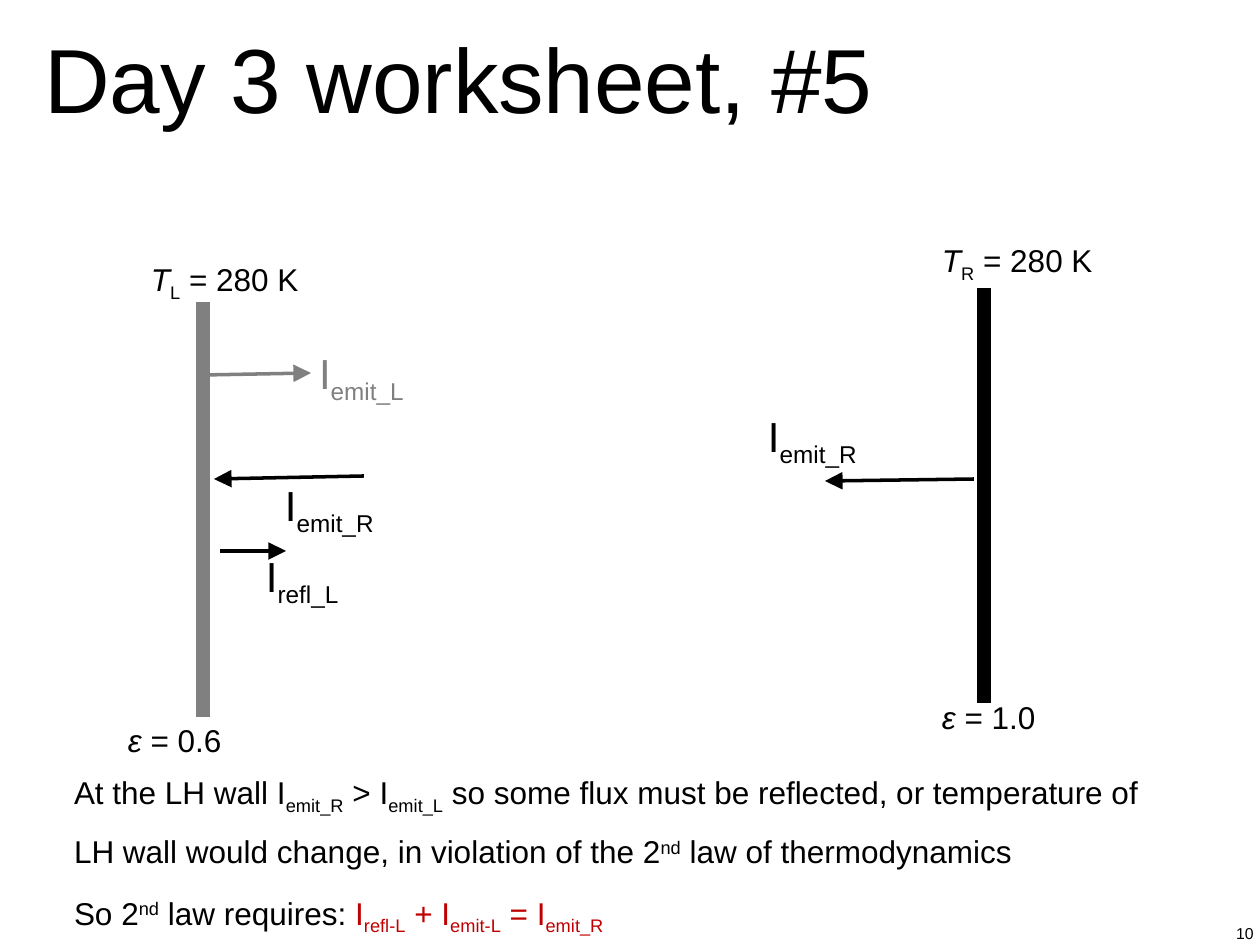
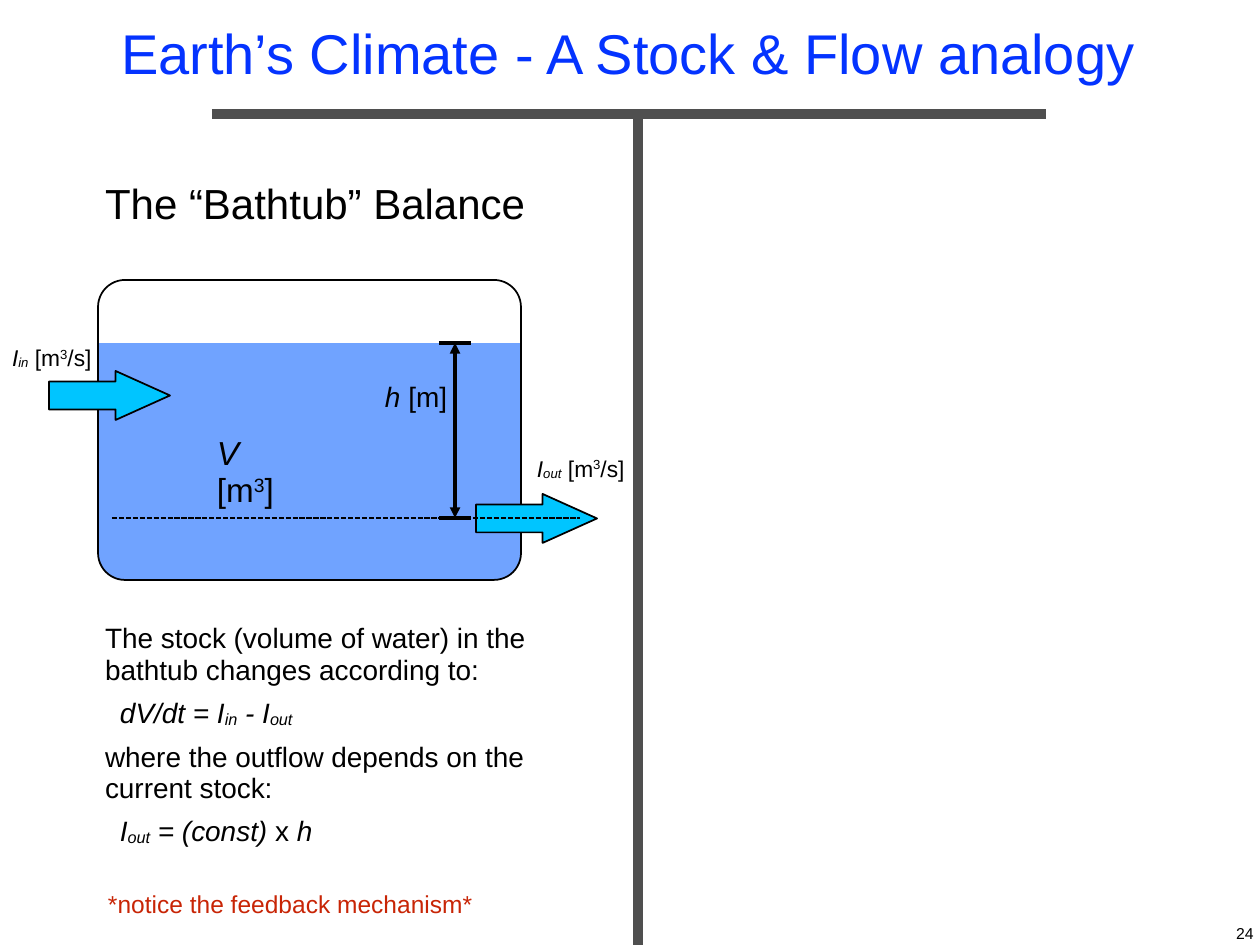
from dataclasses import dataclass

from lxml.etree import SubElement
from pptx import Presentation
from pptx.dml.color import RGBColor
from pptx.enum.dml import MSO_LINE
from pptx.enum.shapes import MSO_CONNECTOR, MSO_SHAPE
from pptx.enum.text import MSO_ANCHOR, MSO_AUTO_SIZE, PP_ALIGN
from pptx.oxml.ns import qn
from pptx.util import Emu, Pt

PX_PER_INCH = 126


@dataclass(frozen=True)
class Theme:
    font: str = "Arial"
    black: str = "000000"
    white: str = "FFFFFF"
    gray: str = "808080"
    divider: str = "4F4F4F"
    title_blue: str = "0433FF"
    water: str = "70A3FF"
    flow: str = "00C5FF"
    alert: str = "C00000"
    note: str = "C82506"
    worksheet_title: int = 52
    analogy_title: int = 32
    heading: int = 24
    volume: int = 19
    body: int = 18
    text: int = 16
    small: int = 14
    flow_label: int = 13
    number: int = 9
    line_spacing: float = 0.93


THEME = Theme()
BASELINES = {"sub": -25000, "low": -6000, "sup": 30000, "unit": 32000}


def px(length):
    return Emu(round(length * 914400 / PX_PER_INCH))


def rgb(color):
    return RGBColor.from_string(color)


def format_font(font, size, color):
    font.name, font.size = THEME.font, Pt(size)
    font.color.rgb = rgb(color)


def fill_paragraph(paragraph, parts, size, color):
    """Write parts: plain strings, or tuples of a string and its style names."""
    for part in parts:
        text, *styles = (part,) if isinstance(part, str) else part
        run = paragraph.add_run()
        run.text = text
        format_font(run.font, size, THEME.alert if "alert" in styles else color)
        run.font.italic = "italic" in styles
        for style in styles:
            if style in BASELINES:
                run._r.get_or_add_rPr().set("baseline", str(BASELINES[style]))


def set_insets(frame, horizontal, vertical):
    frame.margin_left = frame.margin_right = px(horizontal)
    frame.margin_top = frame.margin_bottom = px(vertical)


def add_text(shapes, box, paragraphs, size, color=THEME.black, wrap=True, insets=(7, 7),
             indents=(5,), gap=0, spacing=THEME.line_spacing, align=PP_ALIGN.LEFT):
    """Add a text box; indents are used in turn, paragraph by paragraph."""
    frame = shapes.add_textbox(*map(px, box)).text_frame
    frame.word_wrap = wrap
    frame.auto_size = MSO_AUTO_SIZE.SHAPE_TO_FIT_TEXT
    set_insets(frame, *insets)
    for index, parts in enumerate(paragraphs):
        paragraph = frame.add_paragraph() if index else frame.paragraphs[0]
        paragraph.alignment = align
        paragraph.line_spacing = spacing
        paragraph._p.get_or_add_pPr().set("marL", str(px(indents[index % len(indents)])))
        if index:
            paragraph.space_before = Pt(gap)
        fill_paragraph(paragraph, parts, size, color)


def add_line(shapes, start, end, width, color=THEME.black, heads=(), head_size="med", dash=None):
    line = shapes.add_connector(MSO_CONNECTOR.STRAIGHT, *map(px, (*start, *end)))
    line.line.width = Pt(width)
    line.line.color.rgb = rgb(color)
    if dash:
        line.line.dash_style = dash
    for head in heads:
        SubElement(line.line._get_or_add_ln(), qn(f"a:{head}"),
                   type="triangle", w=head_size, len=head_size)
    SubElement(line._element.spPr, qn("a:effectLst"))


def add_shape(shapes, kind, box, fill=None, outline=None, adjustments=()):
    shape = shapes.add_shape(kind, *map(px, box))
    shape.shadow.inherit = False
    if fill:
        shape.fill.solid()
        shape.fill.fore_color.rgb = rgb(fill)
    else:
        shape.fill.background()
    if outline:
        shape.line.color.rgb = rgb(outline)
        shape.line.width = Pt(1)
    else:
        shape.line.fill.background()
    for index, value in enumerate(adjustments):
        shape.adjustments[index] = value


def add_slide(presentation, title, box, size, color, align, anchor, inset, number):
    """Add a title-only slide with its title and slide number."""
    slide = presentation.slides.add_slide(presentation.slide_layouts[5])
    placeholder = slide.shapes.title
    placeholder.left, placeholder.top, placeholder.width, placeholder.height = map(px, box)
    frame = placeholder.text_frame
    frame.text = title
    frame.word_wrap = True
    frame.auto_size = MSO_AUTO_SIZE.NONE
    frame.vertical_anchor = anchor
    set_insets(frame, inset, inset)
    paragraph = frame.paragraphs[0]
    paragraph.alignment = align
    paragraph.line_spacing = THEME.line_spacing
    format_font(paragraph.runs[0].font, size, color)
    add_text(slide.shapes, (1230, 924, 30, 18), [[number]], THEME.number, insets=(0, 0),
             indents=(0,), spacing=1, align=PP_ALIGN.CENTER)
    return slide


def add_wall(shapes, left, top, color, side, emissivity, temperature_at, emissivity_at, fluxes):
    """Draw a wall from its top point; labels and fluxes are offsets from it."""
    add_line(shapes, (left, top), (left, top + 415), 8, color)

    def shift(point):
        return left + point[0], top + point[1]

    add_text(shapes, (*shift(temperature_at), 202, 49),
             [[("T", "italic"), (side, "sub"), " = 280 K"]], THEME.body)
    add_text(shapes, (*shift(emissivity_at), 202, 49),
             [[("ε ", "italic"), f"= {emissivity}"]], THEME.body)
    for name, start, end, label_at, label_width, flux_color in fluxes:
        add_line(shapes, shift(start), shift(end), 2, flux_color, ["tailEnd"], "lg")
        add_text(shapes, (*shift(label_at), label_width, 63), [["I", (name, "sub")]],
                 THEME.heading, flux_color, wrap=False, insets=(13, 6), indents=(0,), spacing=1)


def add_worksheet_slide(presentation):
    slide = add_slide(presentation, "Day 3 worksheet, #5", (39, 27, 1000, 113),
                      THEME.worksheet_title, THEME.black, PP_ALIGN.LEFT, MSO_ANCHOR.TOP, 5, "10")
    shapes = slide.shapes
    add_wall(shapes, 203, 302, THEME.gray, "L", "0.6", (-64, -49), (-87, 415), [
        ("emit_L", (1, 73), (108, 71), (103, 40), 122, THEME.gray),
        ("emit_R", (161, 174), (11, 177), (69, 172), 126, THEME.black),
        ("refl_L", (17, 249), (83, 249), (50, 243), 108, THEME.black),
    ])
    add_wall(shapes, 984, 288, THEME.black, "R", "1.0", (-54, -54), (-54, 406), [
        ("emit_R", (-10, 191), (-159, 193), (-229, 117), 126, THEME.black),
    ])
    add_text(shapes, (62, 766, 1139, 166), [
        ["At the LH wall I", ("emit_R", "sub"), " > I", ("emit_L", "sub"),
         " so some flux must be reflected, or temperature of"],
        ["LH wall would change, in violation of the 2", ("nd", "sup"), " law of thermodynamics"],
        ["So 2", ("nd", "sup"), " law requires: ", ("I", "alert"), ("refl-L", "sub", "alert"),
         (" + I", "alert"), ("emit-L", "sub", "alert"), (" = I", "alert"),
         ("emit_R", "sub", "alert")],
    ], THEME.body, gap=13)


def add_bathtub(shapes, left, top):
    """Draw the tub with its flows; all places are offsets from its top left corner."""
    def at(x, y, *size):
        return left + x, top + y, *size

    width, height, surface, outlet = 423, 300, 63, 238
    add_shape(shapes, MSO_SHAPE.ROUNDED_RECTANGLE, at(0, 35, width, height - 35),
              THEME.water, adjustments=[0.1])
    add_shape(shapes, MSO_SHAPE.RECTANGLE, at(-35, -51, 508, surface + 51), THEME.white)
    add_shape(shapes, MSO_SHAPE.ROUNDED_RECTANGLE, at(0, 0, width, height),
              outline=THEME.black, adjustments=[0.09])
    flows = [("in", (-49, 91), (-98, 59, 105, 39)),
             ("out", (378, 214), (427, 170, 115, 39))]
    for name, arrow_at, label_box in flows:
        add_shape(shapes, MSO_SHAPE.RIGHT_ARROW, at(*arrow_at, 121, 49),
                  THEME.flow, THEME.black, [0.57, 1.11])
        add_text(shapes, at(*label_box),
                 [[("I", "italic"), (name, "italic", "low"), " [m", ("3", "unit"), "/s]"]],
                 THEME.flow_label, wrap=False)
    add_text(shapes, at(107, 149, 90, 90),
             [[("V ", "italic"), "[m", ("3", "unit"), "]"]], THEME.volume)
    add_text(shapes, at(275, 95, 95, 44), [[("h ", "italic"), "[m]"]], THEME.text)
    add_line(shapes, at(357, outlet), at(357, surface), 2, heads=["headEnd", "tailEnd"])
    for level in (surface, outlet):
        add_line(shapes, at(341, level), at(373, level), 2)
    add_line(shapes, at(14, outlet), at(482, outlet), 1, dash=MSO_LINE.SQUARE_DOT)


def add_balance_text(shapes, left, top, width):
    add_text(shapes, (left, top, width, 62), [["The “Bathtub” Balance"]], THEME.heading)
    add_text(shapes, (left, top + 442, width, 229), [
        ["The stock (volume of water) in the bathtub changes according to:"],
        [("dV/dt = I", "italic"), ("in", "italic", "low"), (" - I", "italic"),
         ("out", "italic", "low")],
        ["where the outflow depends on the current stock:"],
        [("I", "italic"), ("out", "italic", "low"), (" = (const) ", "italic"), "x",
         (" h", "italic")],
    ], THEME.text, indents=(5, 20), gap=7)
    add_text(shapes, (left + 8, top + 707, width, 44), [["*notice the feedback mechanism*"]],
             THEME.small, THEME.note, indents=(0,), spacing=1)


def add_analogy_slide(presentation):
    slide = add_slide(presentation, "Earth’s Climate - A Stock & Flow analogy",
                      (17, 1, 1223, 110), THEME.analogy_title, THEME.title_blue,
                      PP_ALIGN.CENTER, MSO_ANCHOR.MIDDLE, 0, "24")
    add_bathtub(slide.shapes.add_group_shape().shapes, 98, 280)
    add_line(slide.shapes, (638, 114), (638, 945), 6, THEME.divider)
    add_line(slide.shapes, (212, 114), (1046, 114), 6, THEME.divider)
    add_balance_text(slide.shapes, 93, 175, 446)


def main():
    presentation = Presentation()
    presentation.slide_width, presentation.slide_height = px(1260), px(945)
    add_worksheet_slide(presentation)
    add_analogy_slide(presentation)
    presentation.save("out.pptx")


if __name__ == "__main__":
    main()
